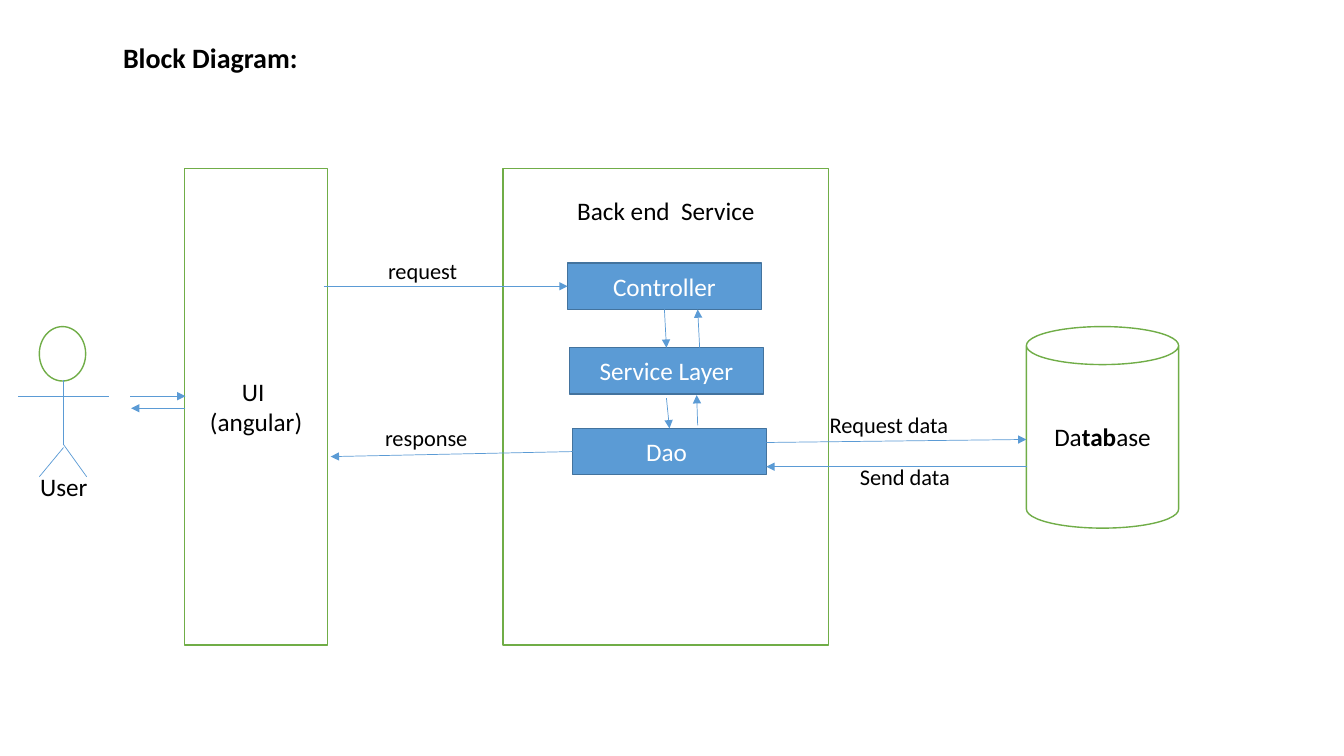
from pptx import Presentation, util as u
from pptx.dml.color import RGBColor
from pptx.enum import shapes, text
from pptx.oxml.ns import qn
from lxml import etree

BLACK = RGBColor(0x00, 0x00, 0x00)
WHITE = RGBColor(0xFF, 0xFF, 0xFF)
GREEN = RGBColor(0x70, 0xAD, 0x47)
BLUE = RGBColor(0x5B, 0x9B, 0xD5)
NAVY = RGBColor(0x43, 0x73, 0x9E)
KIND = shapes.MSO_SHAPE
MIDDLE = text.MSO_ANCHOR.MIDDLE
TOP = text.MSO_ANCHOR.TOP
LEFT = text.PP_ALIGN.LEFT
CENTER = text.PP_ALIGN.CENTER


def set_all(target, values):
    """Set every attribute named in values on the target."""
    for name, value in values.items():
        setattr(target, name, value)


def write(frame, paragraphs, size=18, color=BLACK, align=LEFT, anchor=TOP):
    """Fill a text frame with paragraphs of (words, bold) spans."""
    set_all(frame, {"word_wrap": True, "vertical_anchor": anchor,
                    "auto_size": text.MSO_AUTO_SIZE.NONE})
    for index, spans in enumerate(paragraphs):
        para = frame.add_paragraph() if index else frame.paragraphs[0]
        para.alignment = align
        for words, bold in spans:
            span = para.add_run()
            span.text = words
            set_all(span.font, {"name": "Calibri", "size": u.Pt(size), "bold": bold})
            span.font.color.rgb = color


def add_block(page, kind, place, paragraphs=(), fill=WHITE, line=GREEN,
              color=BLACK, anchor=MIDDLE):
    """Add an outlined shape with centred text."""
    block = page.shapes.add_shape(kind, *map(u.Inches, place))
    block.shadow.inherit = False
    block.fill.solid()
    block.fill.fore_color.rgb = fill
    block.line.color.rgb = line
    block.line.width = u.Pt(1)
    write(block.text_frame, paragraphs, color=color, align=CENTER, anchor=anchor)
    return block


def add_label(page, place, words, size=16):
    """Add a plain one-line text box."""
    box = page.shapes.add_textbox(*map(u.Inches, place))
    write(box.text_frame, [[(words, False)]], size)


def add_line(page, ends, arrow=True):
    """Add a thin blue line, with an arrowhead at its end if wanted."""
    link = page.shapes.add_connector(shapes.MSO_CONNECTOR.STRAIGHT, *map(u.Inches, ends))
    link.line.color.rgb = BLUE
    link.line.width = u.Pt(0.5)
    if arrow:
        etree.SubElement(link.line._get_or_add_ln(), qn("a:tailEnd"), type="triangle")
    etree.SubElement(link._element.spPr, qn("a:effectLst"))


def add_title(page, words):
    """Place and format the title placeholder."""
    title = page.shapes.title
    set_all(title, {"left": u.Inches(1.12), "top": u.Inches(0.35),
                    "width": u.Inches(6.27), "height": u.Inches(0.44)})
    write(title.text_frame, [[(words, True)]], 20, anchor=MIDDLE)


def add_user(page):
    """Draw the stick figure with its name."""
    add_block(page, KIND.OVAL, (0.39, 3.24, 0.46, 0.54))
    for limb in [(0.63, 3.77, 0.63, 4.41), (0.63, 4.44, 0.39, 4.73),
                 (0.63, 4.41, 0.86, 4.73), (0.18, 3.93, 1.08, 3.93)]:
        add_line(page, limb, arrow=False)
    add_label(page, (0.3, 4.63, 1.16, 0.41), "User", 18)


def main():
    """Build the block diagram slide and save it."""
    deck = Presentation()
    set_all(deck, {"slide_width": u.Inches(13.33), "slide_height": u.Inches(7.5)})
    page = deck.slides.add_slide(deck.slide_layouts[5])
    add_title(page, "Block Diagram:")

    add_block(page, KIND.RECTANGLE, (1.83, 1.67, 1.42, 4.73),
              [[("UI ", False)], [("(angular)", False)]])
    add_block(page, KIND.CAN, (10.18, 3.24, 1.51, 2),
              [[("Da", False), ("tab", True), ("ase", False)]])
    backend = add_block(page, KIND.RECTANGLE, (4.99, 1.67, 3.23, 4.73),
                        [[("Back end  Service", False)]], anchor=TOP)
    backend.text_frame.margin_top = u.Inches(0.27)
    add_user(page)

    for left, top, words in [(5.63, 2.61, "Controller"), (5.65, 3.45, "Service Layer"),
                             (5.68, 4.25, "Dao ")]:
        add_block(page, KIND.RECTANGLE, (left, top, 1.92, 0.46), [[(words, False)]],
                  BLUE, NAVY, WHITE)

    for ends in [(1.29, 3.93, 1.84, 3.93), (1.84, 4.05, 1.3, 4.05),
                 (3.21, 2.84, 5.63, 2.84), (5.68, 4.48, 3.28, 4.53),
                 (7.6, 4.39, 10.18, 4.36), (10.19, 4.63, 7.6, 4.63),
                 (6.59, 3.07, 6.61, 3.45), (6.94, 3.46, 6.92, 3.07),
                 (6.61, 3.95, 6.64, 4.25), (6.92, 4.22, 6.91, 3.92)]:
        add_line(page, ends)

    for left, top, width, words in [(3.75, 2.5, 1.55, "request"),
                                    (3.72, 4.16, 1.55, "response"),
                                    (8.13, 4.03, 1.87, "Request data"),
                                    (8.43, 4.55, 1.27, "Send data")]:
        add_label(page, (left, top, width, 0.37), words)

    deck.save("out.pptx")


if __name__ == "__main__":
    main()
